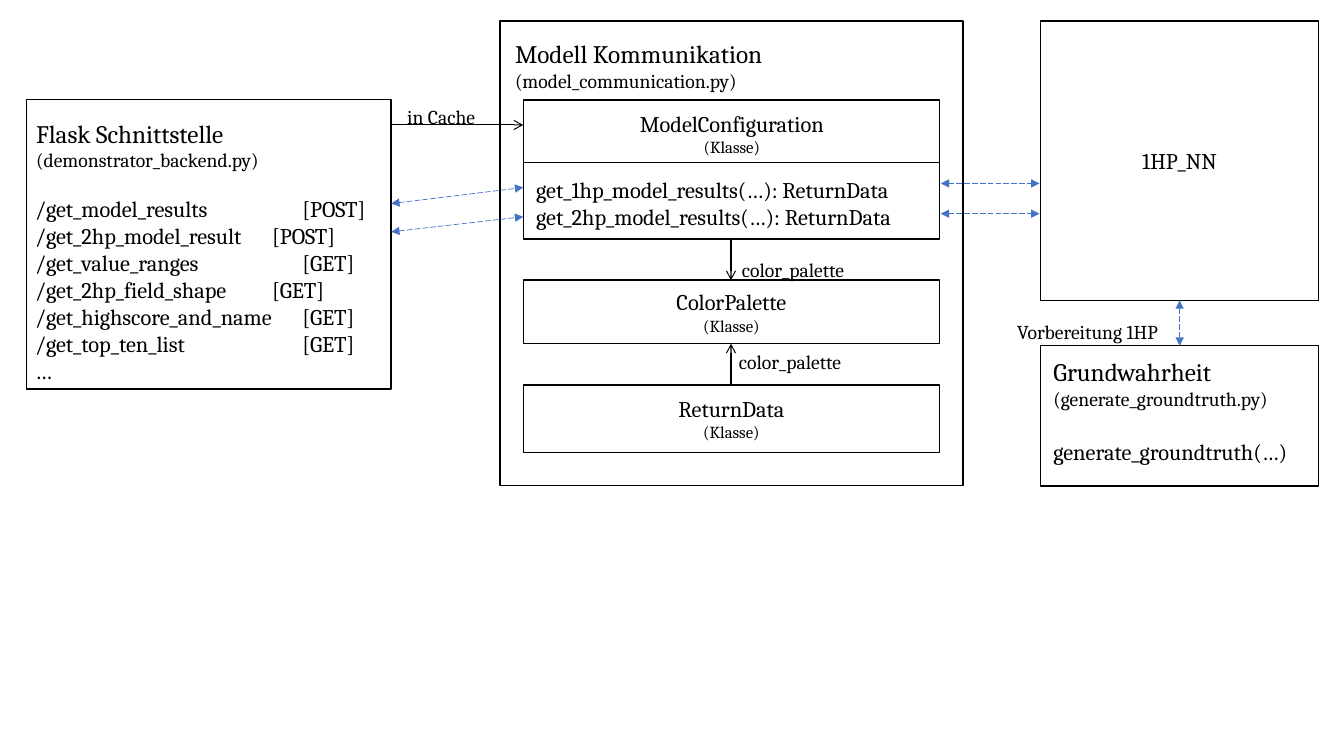
from dataclasses import dataclass

from lxml import etree
from pptx import Presentation
from pptx.dml.color import RGBColor
from pptx.enum.dml import MSO_LINE
from pptx.enum.shapes import MSO_CONNECTOR, MSO_SHAPE
from pptx.enum.text import MSO_ANCHOR, MSO_AUTO_SIZE, PP_ALIGN
from pptx.oxml.ns import qn
from pptx.util import Inches, Pt

RECT = MSO_SHAPE.RECTANGLE
LINE = MSO_CONNECTOR.STRAIGHT
DASH = MSO_LINE.LONG_DASH
LEFT, CENTER = PP_ALIGN.LEFT, PP_ALIGN.CENTER
TOP, MIDDLE = MSO_ANCHOR.TOP, MSO_ANCHOR.MIDDLE
GROW = MSO_AUTO_SIZE.SHAPE_TO_FIT_TEXT


@dataclass(frozen=True)
class Theme:
    font: str = "Cambria"
    ink: RGBColor = RGBColor(0, 0, 0)
    paper: RGBColor = RGBColor(255, 255, 255)
    link: RGBColor = RGBColor(0x44, 0x72, 0xC4)
    title: int = 18
    body: int = 16
    label: int = 14
    note: int = 12
    edge: float = 1
    arrow: float = 0.75
    thin: float = 0.5


def write(frame, lines, theme, align=LEFT, anchor=TOP, wrap=True, tabs=()):
    """Fill a text frame with (text, size) lines."""
    frame.word_wrap = wrap
    frame.vertical_anchor = anchor
    for i, (text, size) in enumerate(lines):
        par = frame.add_paragraph() if i else frame.paragraphs[0]
        par.alignment = align
        run = par.add_run()
        run.text = text
        run.font.name = theme.font
        run.font.size = Pt(size)
        run.font.color.rgb = theme.ink
        if tabs:
            stops = etree.SubElement(par._p.get_or_add_pPr(), qn("a:tabLst"))
            for pos in tabs:
                etree.SubElement(stops, qn("a:tab"),
                                 pos=str(Inches(pos)), algn="l")


class Board:
    def __init__(self, slide, theme):
        self.shapes = slide.shapes
        self.theme = theme

    def box(self, x, y, w, h, lines=()):
        """Outlined rectangle with optional centred text."""
        box = self.shapes.add_shape(RECT, Inches(x), Inches(y),
                                    Inches(w), Inches(h))
        box.shadow.inherit = False
        box.fill.solid()
        box.fill.fore_color.rgb = self.theme.paper
        box.line.color.rgb = self.theme.ink
        box.line.width = Pt(self.theme.edge)
        if lines:
            write(box.text_frame, lines, self.theme,
                  align=CENTER, anchor=MIDDLE)

    def text(self, x, y, w, h, lines, **form):
        """Free text without an outline."""
        box = self.shapes.add_textbox(Inches(x), Inches(y),
                                      Inches(w), Inches(h))
        write(box.text_frame, lines, self.theme, **form)
        box.text_frame.auto_size = GROW

    def line(self, start, end, color, width, head=None, tail=None, dash=None):
        """Straight line with optional arrowheads."""
        line = self.shapes.add_connector(LINE, *map(Inches, start + end))
        line.line.color.rgb = color
        line.line.width = Pt(width)
        if dash:
            line.line.dash_style = dash
        props = line._element.spPr
        stroke = props.find(qn("a:ln"))
        for tag, kind in (("a:headEnd", head), ("a:tailEnd", tail)):
            if kind:
                etree.SubElement(stroke, qn(tag), type=kind)
        etree.SubElement(props, qn("a:effectLst"))

    def arrow(self, start, end):
        self.line(start, end, self.theme.ink, self.theme.arrow, tail="arrow")

    def link(self, start, end):
        """Dashed two-way link."""
        self.line(start, end, self.theme.link, self.theme.thin,
                  head="triangle", tail="triangle", dash=DASH)


def main():
    deck = Presentation()
    deck.slide_width, deck.slide_height = Inches(13.33), Inches(7.5)
    theme = Theme()
    board = Board(deck.slides.add_slide(deck.slide_layouts[6]), theme)

    def heading(name, file):
        return [(name, theme.title), (file, theme.label)]

    def model(name):
        return [(name, theme.body), ("(Klasse)", theme.note)]

    def body(*rows):
        return [(row, theme.body) for row in rows]

    def label(x, y, w, text, wrap=True):
        board.text(x, y, w, 0.34, [(text, theme.label)], wrap=wrap)

    # Neural network
    board.box(10.32, 0.21, 2.76, 2.77, body("1HP_NN"))

    # Model communication
    board.box(4.96, 0.21, 4.59, 4.61)
    board.text(5.01, 0.33, 2.74, 0.65, wrap=False, lines=heading(
        "Modell Kommunikation", "(model_communication.py)"))

    # Flask interface with its routes
    board.box(0.26, 0.99, 3.62, 2.87)
    board.text(0.26, 1.12, 3.43, 0.65, heading(
        "Flask Schnittstelle", "(demonstrator_backend.py)"))
    board.text(0.25, 1.89, 3.62, 1.99, tabs=(2.35, 2.65), lines=body(
        "/get_model_results \t\t[POST]",
        "/get_2hp_model_result \t[POST]",
        "/get_value_ranges \t\t[GET]",
        "/get_2hp_field_shape \t[GET]",
        "/get_highscore_and_name \t[GET]",
        "/get_top_ten_list \t\t[GET]",
        "…"))

    # Classes
    left, wide, mid = 5.19, 4.13, 7.25
    board.box(left, 3.82, wide, 0.67, model("ReturnData"))
    board.box(left, 2.78, wide, 0.63, model("ColorPalette"))
    board.box(left, 0.99, wide, 1.38)
    board.text(6.18, 1.04, 2.16, 0.57, model("ModelConfiguration"),
               align=CENTER, wrap=False)
    board.line((left, 1.61), (left + wide, 1.61), theme.ink, theme.thin)
    board.text(5.22, 1.7, 3.99, 0.64, body(
        "get_1hp_model_results(…): ReturnData",
        "get_2hp_model_results(…): ReturnData"))

    # Ground truth
    board.box(10.32, 3.43, 2.76, 1.39)
    board.text(10.35, 3.49, 2.46, 0.64, wrap=False, lines=heading(
        "Grundwahrheit", "(generate_groundtruth.py)"))
    board.text(10.35, 4.3, 2.66, 0.37, body("generate_groundtruth(…)"),
               wrap=False)

    # Arrows and their labels
    board.arrow((3.88, 1.24), (left, 1.24))
    board.arrow((mid, 3.82), (mid, 3.41))
    board.arrow((mid, 2.37), (mid, 2.78))
    label(3.94, 0.99, 0.95, "in Cache", wrap=False)
    label(7.26, 2.51, 1.37, "color_palette")
    label(7.23, 3.42, 1.37, "color_palette")

    # Two-way links
    for route, call, net in ((2.02, 1.86, 1.82), (2.3, 2.15, 2.12)):
        board.link((3.88, route), (left, call))
        board.link((9.33, net), (10.31, net))
    board.link((11.7, 2.98), (11.7, 3.43))
    label(9.99, 3.12, 1.78, "Vorbereitung 1HP", wrap=False)

    deck.save("out.pptx")


if __name__ == "__main__":
    main()
